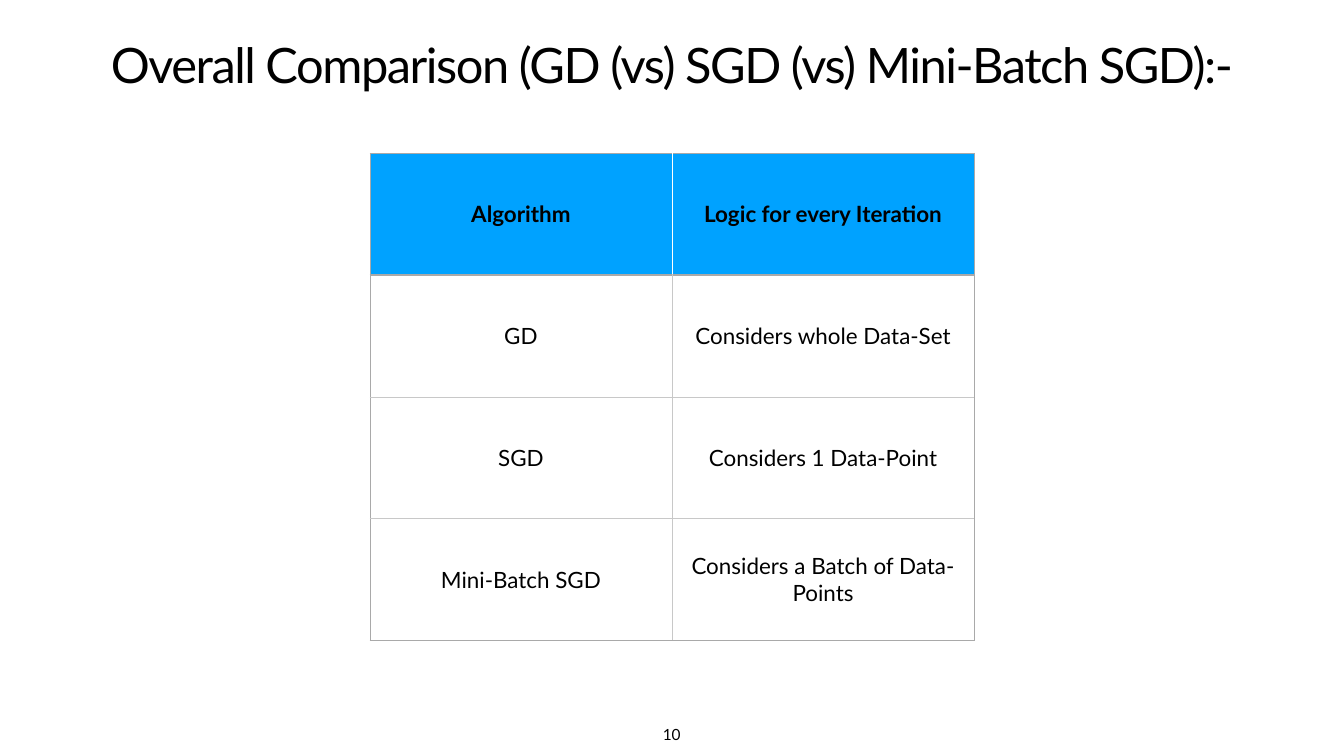
from lxml.etree import SubElement as Sub
from pptx import Presentation
from pptx.dml.color import RGBColor as Rgb
from pptx.enum.text import MSO_ANCHOR as Anchor, MSO_AUTO_SIZE as Auto, PP_ALIGN as Align
from pptx.oxml.ns import qn
from pptx.util import Pt

PX = 9144
PAD = 6 * PX
INK = {"text": "000000", "head": "00A2FF", "body": "FFFFFF",
       "edge": "A9A9A9", "grid": "C8C8C8", "split": "FFFFFF"}


def write(frame, text, size, bold=False):
    para = frame.paragraphs[0]
    para.alignment = Align.CENTER
    run = para.add_run()
    run.text = text
    font = run.font
    font.name, font.size, font.bold = "Lato", Pt(size), bold
    font.color.rgb = Rgb.from_string(INK["text"])
    return para, run


def rule(cell, side, tone, width):
    line = Sub(cell._tc.get_or_add_tcPr(), qn(f"a:ln{side}"), w=str(Pt(width)))
    fill = Sub(line, qn("a:solidFill"))
    Sub(fill, qn("a:srgbClr"), val=INK[tone])


deck = Presentation()
deck.slide_width, deck.slide_height = 2667 * PX, 1500 * PX
slide = deck.slides.add_slide(deck.slide_layouts[6])

labels = [
    ("Overall Comparison (GD (vs) SGD (vs) Mini-Batch SGD):-", 69.7, True, (101, 23, 2465, 167)),
    ("10", 22, False, (1308, 1431, 50, 51)),
]
for text, size, wrap, place in labels:
    box = slide.shapes.add_textbox(*(n * PX for n in place))
    frame = box.text_frame
    frame.word_wrap = wrap
    frame.auto_size = Auto.NONE if wrap else Auto.SHAPE_TO_FIT_TEXT
    frame.vertical_anchor = Anchor.BOTTOM
    frame.margin_left = frame.margin_right = PAD
    frame.margin_top = frame.margin_bottom = PAD
    para, run = write(frame, text, size)
    if wrap:
        para.line_spacing = 0.8
        run.font._element.set("spc", "-210")

rows = [
    ("Algorithm", "Logic for every Iteration"),
    ("GD", "Considers whole Data-Set"),
    ("SGD", "Considers 1 Data-Point"),
    ("Mini-Batch SGD", "Considers a Batch of Data-Points"),
]
last = len(rows) - 1
table = slide.shapes.add_table(len(rows), 2, 734 * PX, 304 * PX, 1199 * PX, 967 * PX).table
table.first_row = table.horz_banding = False

for r, row in enumerate(rows):
    head = r == 0
    inner = "split" if head else "grid"
    for c, text in enumerate(row):
        cell = table.cell(r, c)
        cell.vertical_anchor = Anchor.MIDDLE
        cell.margin_left = cell.margin_right = PAD
        cell.margin_top = cell.margin_bottom = PAD
        write(cell.text_frame, text, 32, head)
        rule(cell, "L", inner if c else "edge", 1)
        rule(cell, "R", "edge" if c else inner, 1)
        rule(cell, "T", "edge" if r < 2 else "grid", 3 if r == 1 else 1)
        rule(cell, "B", "edge" if r in (0, last) else "grid", 3 if head else 1)
        cell.fill.solid()
        cell.fill.fore_color.rgb = Rgb.from_string(INK["head" if head else "body"])

deck.save("out.pptx")
